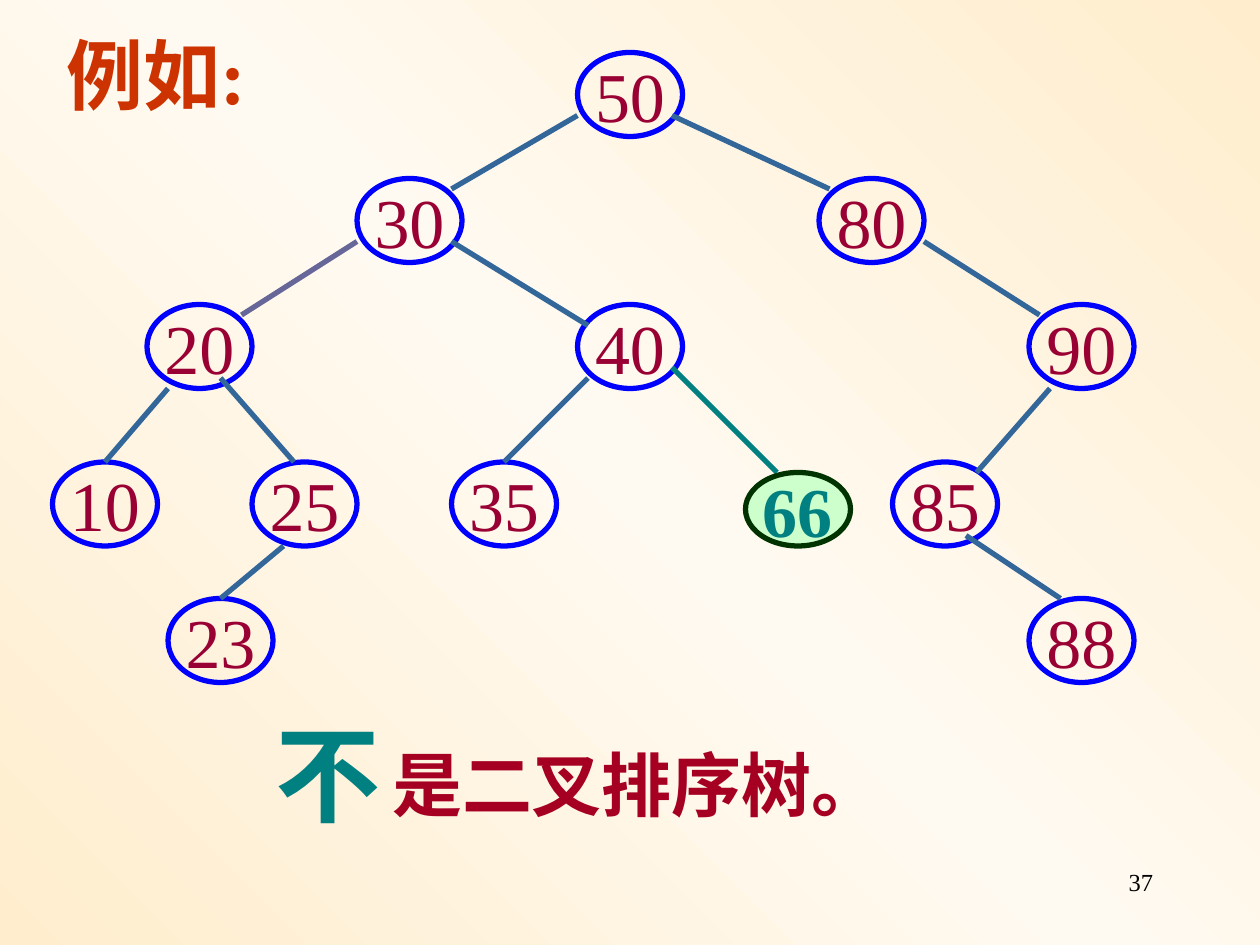
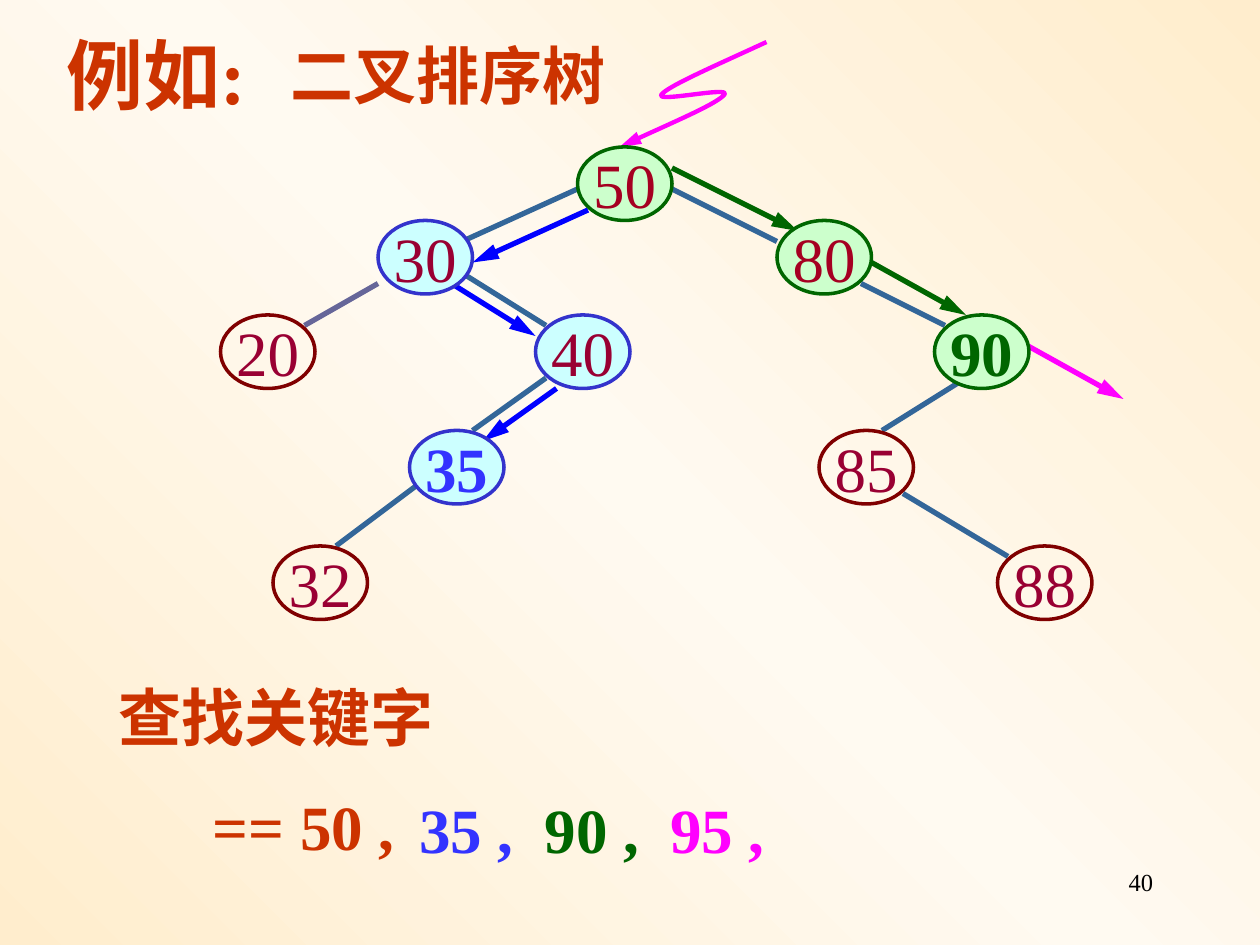
from pptx import Presentation
from pptx.dml.color import RGBColor
from pptx.enum.shapes import MSO_CONNECTOR, MSO_SHAPE
from pptx.enum.text import MSO_ANCHOR, MSO_AUTO_SIZE, PP_ALIGN
from pptx.oxml import parse_xml
from pptx.oxml.ns import nsdecls, qn
from pptx.oxml.xmlchemy import OxmlElement
from pptx.util import Pt

OVAL = MSO_SHAPE.OVAL
STRAIGHT = MSO_CONNECTOR.STRAIGHT
LEFT, CENTER, RIGHT = PP_ALIGN.LEFT, PP_ALIGN.CENTER, PP_ALIGN.RIGHT
MIDDLE = MSO_ANCHOR.MIDDLE
FIT_TEXT = MSO_AUTO_SIZE.SHAPE_TO_FIT_TEXT

FONT = "Times New Roman"
BACKGROUND_STOPS = ((0, "FFEDCD"), (50, "FFFAF1"), (100, "FFEDCD"))
BACKGROUND_ANGLE = 315
BLACK, RUST, WINE, CRIMSON = "000000", "CC3300", "990033", "A50021"
STEEL, SLATE, TEAL = "336699", "666699", "008080"
BLUE, INDIGO, GREEN, MAGENTA = "0000FF", "3333FF", "006600", "FF00FF"
LINK_WIDTH = 3
ARROWHEAD = {"type": "triangle", "w": "med", "len": "lg"}

PLAIN = dict(fill=None, line=BLUE, width=3, size=40, ink=WINE, bold=False)
WRONG = dict(PLAIN, fill="CCFFCC", line="003300", ink=TEAL, bold=True)
UNVISITED = dict(PLAIN, line="800000", width=2, size=36)
LEFT_VISITED = dict(UNVISITED, fill="CCFFFF", line="3333CC")
LEFT_FOUND = dict(LEFT_VISITED, ink=INDIGO, bold=True)
RIGHT_VISITED = dict(UNVISITED, fill="CCFFCC", line=GREEN, ink=CRIMSON)
RIGHT_FOUND = dict(RIGHT_VISITED, ink=GREEN, bold=True)


def colour(code):
    """Turn a hex string into a colour."""
    return RGBColor.from_string(code)


def set_values(target, values):
    """Set each named attribute on the target."""
    for name, value in values.items():
        setattr(target, name, value)


def write(frame, text, size, ink, bold=False, align=LEFT):
    """Write one formatted line into a text frame."""
    para = frame.paragraphs[0]
    para.alignment = align
    span = para.add_run()
    span.text = text
    set_values(span.font, dict(name=FONT, size=Pt(size), bold=bold))
    span.font.color.rgb = colour(ink)


def set_line(shape, ink, width, arrow=False):
    """Colour an outline, with an arrowhead at its end if asked."""
    shape.line.color.rgb = colour(ink)
    shape.line.width = Pt(width)
    if arrow:
        head = OxmlElement("a:tailEnd")
        for name, value in ARROWHEAD.items():
            head.set(name, value)
        shape.element.spPr.find(qn("a:ln")).append(head)


def add_text(page, box, text, size, ink, bold=True):
    """Place a caption that does not wrap."""
    frame = page.shapes.add_textbox(*map(Pt, box)).text_frame
    set_values(frame, dict(word_wrap=False, auto_size=FIT_TEXT))
    write(frame, text, size, ink, bold)


def add_page(deck, number):
    """Add a page with the shared background, heading and page number."""
    page = deck.slides.add_slide(deck.slide_layouts[6])
    stops = "".join(
        f'<a:gs pos="{place * 1000}"><a:srgbClr val="{code}"/></a:gs>'
        for place, code in BACKGROUND_STOPS)
    page.element.cSld.insert(0, parse_xml(
        f'<p:bg {nsdecls("p", "a")}><p:bgPr><a:gradFill rotWithShape="0">'
        f'<a:gsLst>{stops}</a:gsLst>'
        f'<a:lin ang="{BACKGROUND_ANGLE * 60000}" scaled="1"/>'
        f'</a:gradFill><a:effectLst/></p:bgPr></p:bg>'))
    footer = page.shapes.add_textbox(Pt(516), Pt(492), Pt(150), Pt(36))
    footer.text_frame.word_wrap = True
    write(footer.text_frame, str(number), 14, BLACK, align=RIGHT)
    add_text(page, (31, 12, 127.5, 60.5), "例如:", 44, RUST)
    return page


def add_node(page, box, key, style):
    """Draw one tree node."""
    node = page.shapes.add_shape(OVAL, *map(Pt, box))
    node.shadow.inherit = False
    if style["fill"]:
        node.fill.solid()
        node.fill.fore_color.rgb = colour(style["fill"])
    else:
        node.fill.background()
    set_line(node, style["line"], style["width"])
    frame = node.text_frame
    set_values(frame, dict(word_wrap=False, vertical_anchor=MIDDLE))
    write(frame, key, style["size"], style["ink"], style["bold"], CENTER)
    return node


def draw_nodes(page, origin, size, style, places):
    """Draw nodes of one style and return them by key."""
    return {key: add_node(page, (origin[0] + x, origin[1] + y, *size), key, style)
            for key, (x, y) in places.items()}


def draw_links(page, origin, links, ink, nodes=None, arrow=False):
    """Draw links, joining those that end at the top of a node."""
    left, top = origin
    tops = {(node.left + node.width // 2, node.top): node
            for node in (nodes or {}).values()}
    for x1, y1, x2, y2 in links:
        start = Pt(left + x1), Pt(top + y1)
        end = Pt(left + x2), Pt(top + y2)
        link = page.shapes.add_connector(STRAIGHT, *start, *end)
        set_line(link, ink, LINK_WIDTH, arrow)
        link.element.spPr.append(OxmlElement("a:effectLst"))
        if end in tops:
            link.end_connect(tops[end], 0)


def draw_search_curve(page, origin):
    """Draw the curved arrow that enters the tree at its root."""
    points = [(84, 0), (56, 13), (28, 25), (24, 30), (20, 35), (64, 25),
              (60, 30), (56, 35), (28, 47), (0, 60)]
    builder = page.shapes.build_freeform(*points[0], scale=Pt(1))
    builder.add_line_segments(points[1:], close=False)
    curve = builder.convert_to_shape(*map(Pt, origin))
    segments = list(curve.element.iter(qn("a:lnTo")))
    for first in range(0, len(segments), 3):
        bend = OxmlElement("a:cubicBezTo")
        segments[first].addprevious(bend)
        for segment in segments[first:first + 3]:
            bend.append(segment[0])
            segment.getparent().remove(segment)
    curve.shadow.inherit = False
    curve.fill.background()
    set_line(curve, MAGENTA, 2.5, arrow=True)


def draw_broken_tree(page, origin):
    """Draw the tree in which 66 breaks the order."""
    nodes = draw_nodes(page, origin, (60, 48), PLAIN, {
        "50": (300, 0), "30": (174, 72), "80": (438, 72),
        "20": (54, 144), "40": (300, 144), "90": (558, 144),
        "10": (0, 234), "25": (114, 234), "35": (228, 234),
        "85": (480, 234), "23": (66, 312), "88": (558, 312)})
    draw_links(page, origin, [
        (300, 36, 228, 78), (354, 36, 444, 78), (228, 108, 306, 156),
        (66, 192, 30, 234), (96, 186, 138, 234), (132, 282, 96, 312),
        (306, 186, 258, 234), (498, 108, 564, 150),
        (570, 192, 528, 240), (522, 276, 576, 312)], STEEL, nodes)
    draw_links(page, origin, [(174, 108, 108, 150)], SLATE)
    draw_links(page, origin, [(354, 180, 414, 240)], TEAL)
    draw_nodes(page, origin, (60, 42), WRONG, {"66": (396, 240)})


def draw_search_tree(page, origin):
    """Draw the search tree with the routes taken through it."""
    draw_links(page, origin, [
        (204, 24, 138, 54), (258, 24, 318, 54), (138, 72, 186, 102),
        (186, 132, 144, 162), (366, 78, 414, 102), (426, 132, 378, 162),
        (390, 198, 450, 234), (114, 192, 66, 228)], STEEL)
    draw_links(page, origin, [(90, 78, 48, 102)], SLATE)
    routes = {
        BLUE: [(210, 36, 144, 66), (132, 78, 180, 108), (192, 138, 150, 168)],
        GREEN: [(258, 12, 330, 48), (372, 66, 426, 96)],
        MAGENTA: [(462, 114, 516, 144)]}
    for ink, links in routes.items():
        draw_links(page, origin, links, ink, arrow=True)
    for style, places in (
            (UNVISITED, {"20": (0, 96), "85": (342, 162),
                         "88": (444, 228), "32": (30, 228)}),
            (LEFT_VISITED, {"30": (90, 42), "40": (180, 96)}),
            (LEFT_FOUND, {"35": (108, 162)}),
            (RIGHT_VISITED, {"50": (204, 0), "80": (318, 42)}),
            (RIGHT_FOUND, {"90": (408, 96)})):
        draw_nodes(page, origin, (54, 42), style, places)


def draw_search_keys(page, origin):
    """List the keys searched for, each in the colour of its route."""
    left, top = origin
    add_text(page, (left, top, 195, 50.5), "查找关键字", 36, RUST)
    add_text(page, (left + 54, top + 62.5, 120, 50.5), "== 50 ,", 36, RUST)
    keys = (("35 ,", INDIGO), ("90 ,", GREEN), ("95 ,", MAGENTA))
    for index, (key, ink) in enumerate(keys):
        box = (left + 172 + 71.7 * index, top + 64, 69, 50.5)
        add_text(page, box, key, 36, ink)


def main():
    """Build the deck."""
    deck = Presentation()
    deck.slide_width, deck.slide_height = Pt(720), Pt(540)

    page = add_page(deck, 37)
    draw_broken_tree(page, (30, 30))
    add_text(page, (217, 420, 295, 55.5), "是二叉排序树。", 40, CRIMSON)
    add_text(page, (150.5, 402, 74.5, 79), "不", 60, TEAL)

    page = add_page(deck, 40)
    add_text(page, (159, 17.5, 195, 50.5), "二叉排序树", 36, RUST)
    draw_search_curve(page, (354, 24))
    draw_search_tree(page, (126, 84))
    draw_search_keys(page, (60.5, 384))

    deck.save("out.pptx")


if __name__ == "__main__":
    main()
